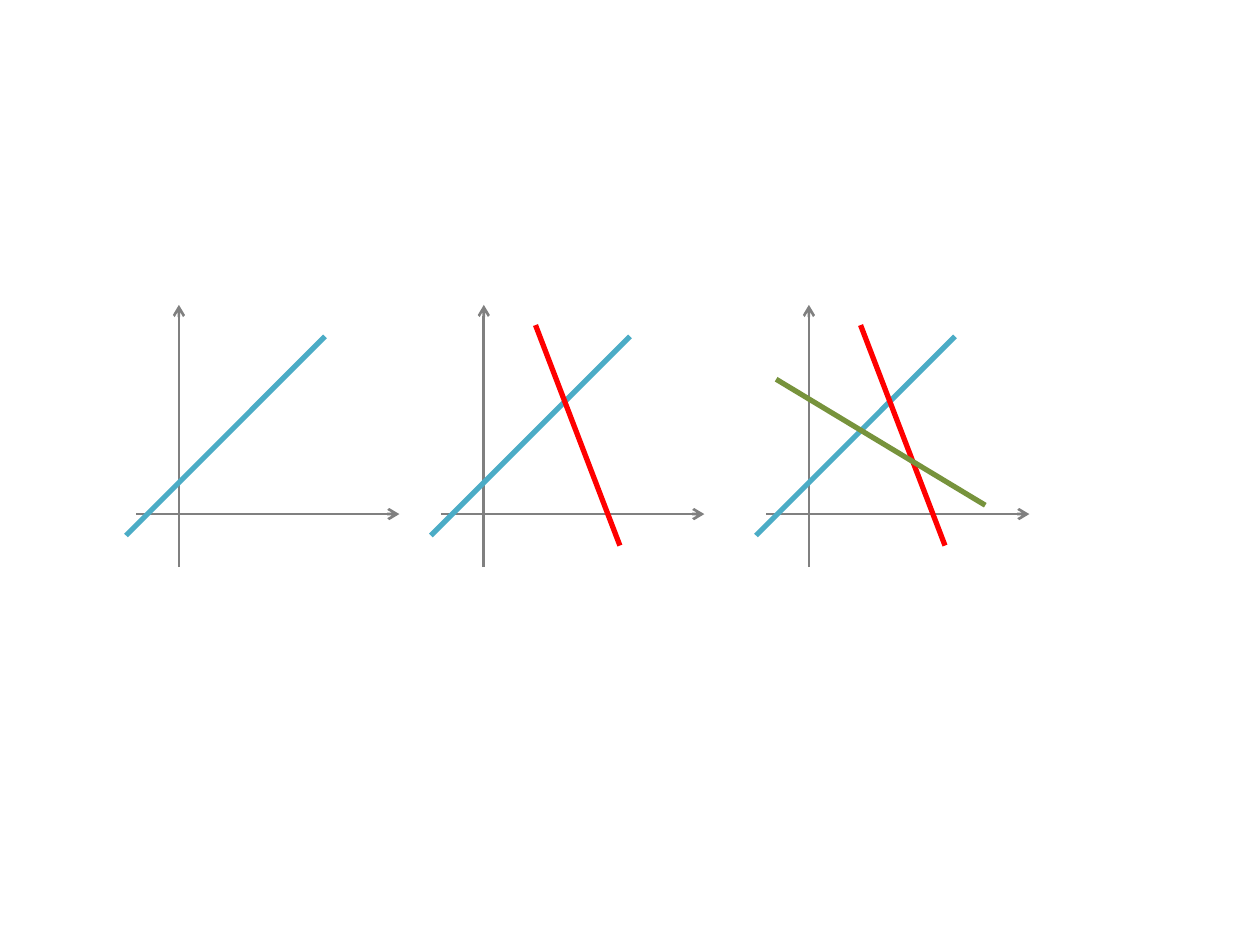
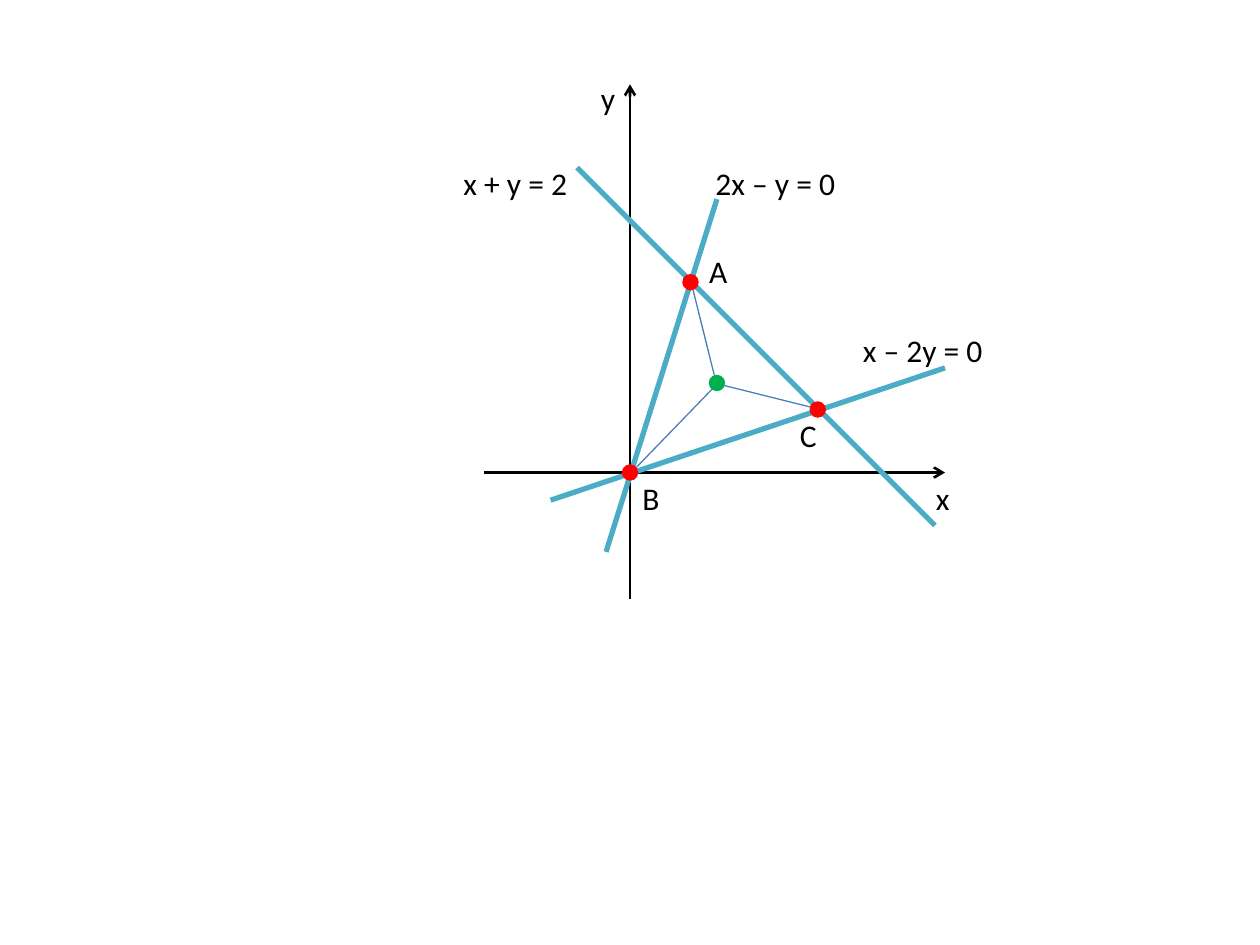
from lxml import etree
from pptx import Presentation
from pptx import util as u
from pptx.dml.color import RGBColor
from pptx.enum import shapes, text
from pptx.oxml import ns

COLORS = {
    "black": "000000",
    "gray": "808080",
    "teal": "4BACC6",
    "red": "FF0000",
    "olive": "77933C",
    "green": "00B050",
    "blue": "4B7EBC",
}


class Sketch:
    font = "Calibri"
    size = 18
    thin, axis_width, thick = 0.75, 1.5, 3
    dot_size = 0.12

    def __init__(self, prs):
        self.prs = prs
        self.shapes = None

    def new_slide(self, grouped=False):
        s = self.prs.slides.add_slide(self.prs.slide_layouts[6])
        self.shapes = s.shapes.add_group_shape().shapes if grouped else s.shapes

    def color(self, name):
        return RGBColor.from_string(COLORS[name])

    def line(self, start, end, color, width):
        sp = self.shapes.add_connector(
            shapes.MSO_CONNECTOR.STRAIGHT, *map(u.Inches, (*start, *end)))
        sp.line.color.rgb = self.color(color)
        sp.line.width = u.Pt(width)
        etree.SubElement(sp._element.spPr, ns.qn("a:effectLst"))
        return sp

    def axis(self, start, end, color):
        sp = self.line(start, end, color, self.axis_width)
        ln = sp._element.spPr.find(ns.qn("a:ln"))
        etree.SubElement(ln, ns.qn("a:tailEnd"), type="arrow")

    def dot(self, center, color):
        left, top = (c - self.dot_size / 2 for c in center)
        sp = self.shapes.add_shape(
            shapes.MSO_SHAPE.OVAL, u.Inches(left), u.Inches(top),
            u.Inches(self.dot_size), u.Inches(self.dot_size))
        sp.shadow.inherit = False
        sp.fill.solid()
        sp.fill.fore_color.rgb = self.color(color)
        sp.line.color.rgb = self.color(color)
        sp.line.width = u.Pt(self.thin)

    def label(self, words, left, top, width):
        sp = self.shapes.add_textbox(*map(u.Inches, (left, top, width, 0.4)))
        tf = sp.text_frame
        tf.word_wrap = False
        tf.auto_size = text.MSO_AUTO_SIZE.SHAPE_TO_FIT_TEXT
        r = tf.paragraphs[0].add_run()
        r.text = words
        r.font.name = self.font
        r.font.size = u.Pt(self.size)
        r.font.color.rgb = self.color("black")


def build_line_systems(sketch):
    sketch.new_slide()
    graph_lines = [
        ((0, 4.25), (1.58, 2.67), "teal"),
        ((1.5, 4.33), (0.83, 2.58), "red"),
        ((0.16, 3.01), (1.82, 4.01), "olive"),
    ]
    for count, left in enumerate((1, 3.42, 6), start=1):
        sketch.axis((left + 0.42, 4.5), (left + 0.42, 2.42), "gray")
        sketch.axis((left + 0.08, 4.08), (left + 2.17, 4.08), "gray")
        for (x1, y1), (x2, y2), color in graph_lines[:count]:
            sketch.line((left + x1, y1), (left + x2, y2), color, sketch.thick)


def build_triangle(sketch):
    sketch.new_slide(grouped=True)
    sketch.axis((5, 4.75), (5, 0.67), "black")
    sketch.axis((3.84, 3.75), (7.5, 3.75), "black")
    sketch.label("y", 4.67, 0.58, 0.32)
    sketch.label("x", 7.33, 3.75, 0.32)

    equations = [
        ("2x – y = 0", (5.58, 1.25, 1.16), (5.69, 1.58), (4.81, 4.38)),
        ("x + y = 2", (3.58, 1.25, 1.04), (4.58, 1.33), (7.42, 4.17)),
        ("x – 2y = 0", (6.75, 2.58, 1.16), (4.37, 3.97), (7.5, 2.92)),
    ]
    for words, place, start, end in equations:
        sketch.line(start, end, "teal", sketch.thick)
        sketch.label(words, *place)

    vertices = [
        ("A", (5.48, 2.24), (5.53, 1.95, 0.35)),
        ("B", (5, 3.75), (5, 3.75, 0.34)),
        ("C", (6.49, 3.25), (6.25, 3.25, 0.34)),
    ]
    for name, center, place in vertices:
        sketch.dot(center, "red")
        sketch.label(name, *place)

    sketch.dot((5.69, 3.04), "green")
    spokes = [
        ((5.5, 2.3), (5.67, 2.98)),
        ((5.05, 3.71), (5.65, 3.09)),
        ((6.43, 3.23), (5.75, 3.06)),
    ]
    for start, end in spokes:
        sketch.line(start, end, "blue", sketch.thin)


def main():
    prs = Presentation()
    prs.slide_width, prs.slide_height = u.Inches(10), u.Inches(7.5)
    sketch = Sketch(prs)
    build_line_systems(sketch)
    build_triangle(sketch)
    prs.save("out.pptx")


if __name__ == "__main__":
    main()
